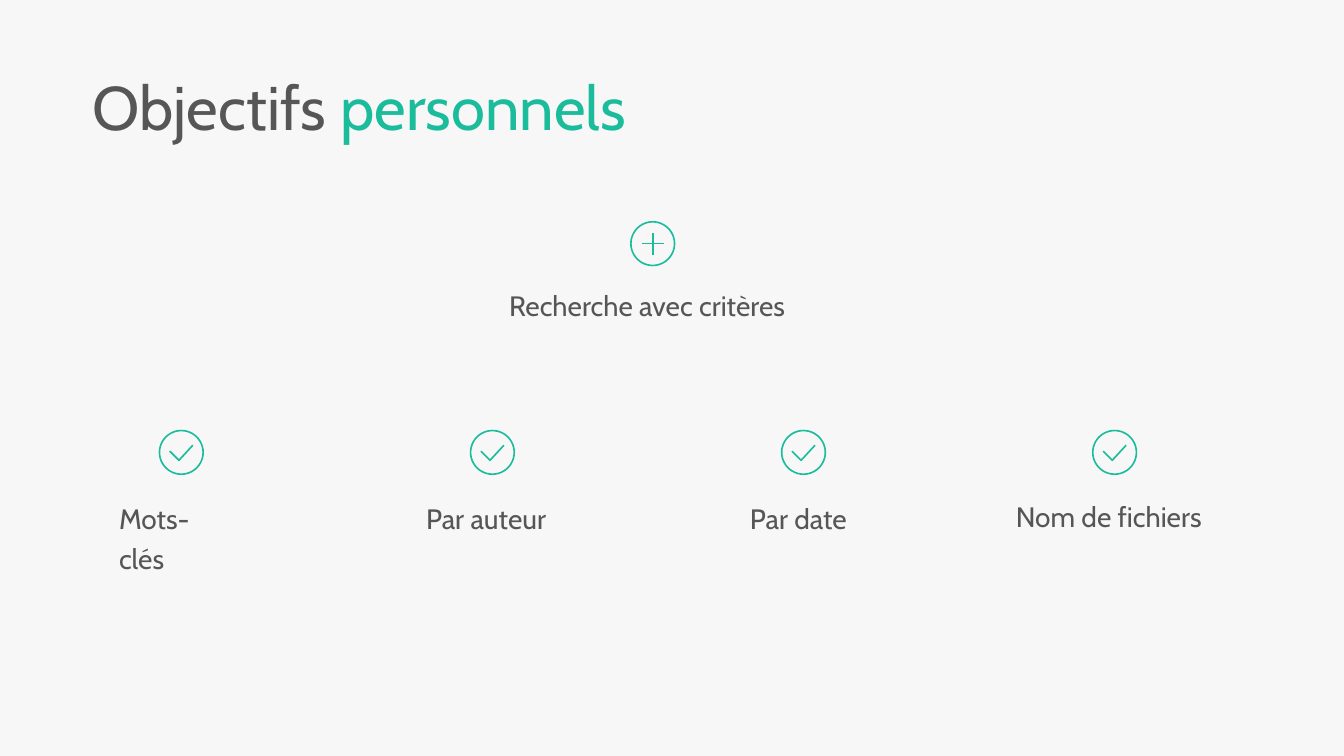
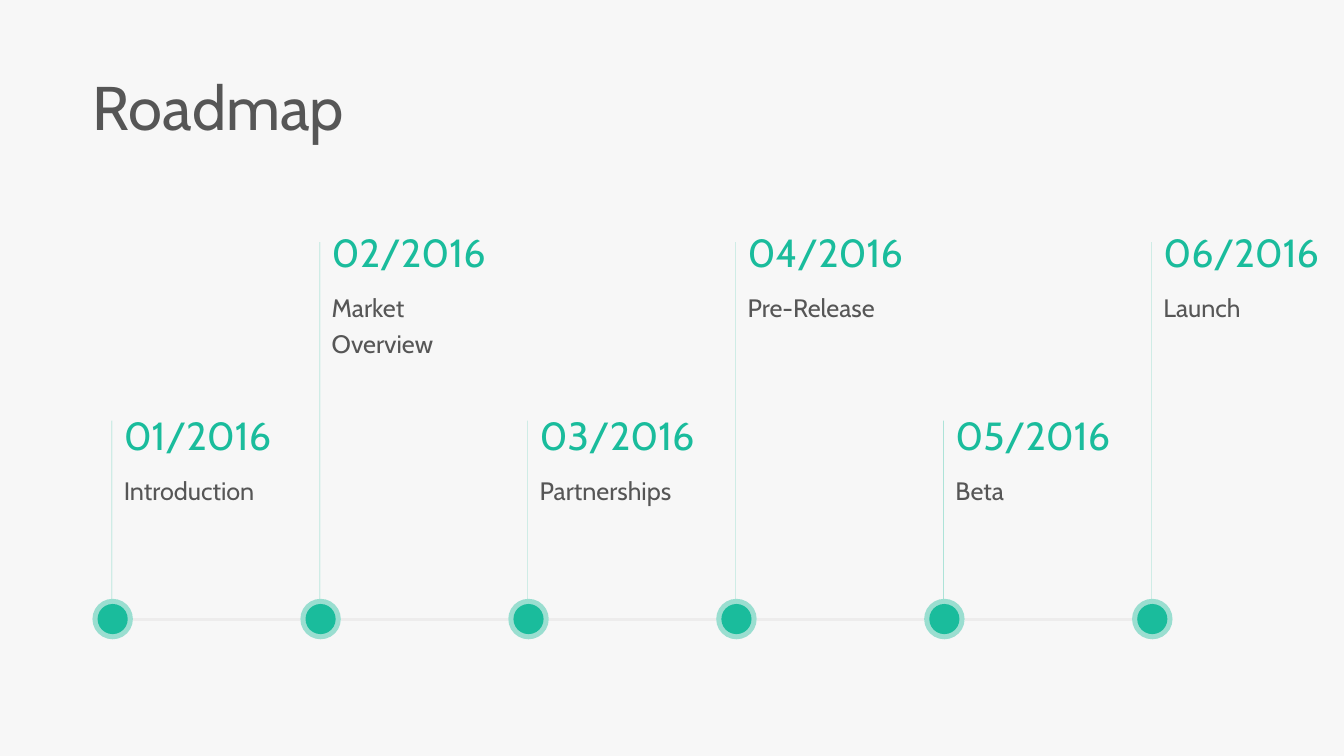
from itertools import pairwise

from lxml import etree
from pptx import Presentation
from pptx.dml.color import RGBColor
from pptx.enum.shapes import MSO_CONNECTOR, MSO_SHAPE
from pptx.oxml.ns import qn
from pptx.util import Cm, Pt

OVAL = MSO_SHAPE.OVAL
STRAIGHT = MSO_CONNECTOR.STRAIGHT
FONT = "Cabin"
GREEN = "1ABC9C"
GREY = "565656"
PALE = "EDECEC"
BACK = "F7F7F7"
INK = 1.15
SPAN = 1.1

GOALS = [
    ("Mots-clés", 3.0, 12.34, 3.12),
    ("Par auteur", 10.74, 12.34, 3.8),
    ("Par date", 18.9, 12.34, 3.2),
    ("Nom de fichiers", 25.6, 12.29, 5.5),
]
STEPS = [
    ("01/2016", "Introduction"),
    ("02/2016", "Market Overview"),
    ("03/2016", "Partnerships"),
    ("04/2016", "Pre-Release"),
    ("05/2016", "Beta"),
    ("06/2016", "Launch"),
]
LEVELS = [(10.24, 10.6), (5.64, 6.1)]
AXIS = 15.6
HALO = 0.51
CORE = 0.38


def color(code):
    return RGBColor.from_string(code)


def fade(shape, share):
    for node in shape._element.spPr.iter(qn("a:srgbClr")):
        etree.SubElement(node, qn("a:alpha"), val=str(share * 1000))


def add_text(slide, x, y, width, height, parts, size, space=1.0, left=0.0):
    box = slide.shapes.add_textbox(Cm(x), Cm(y), Cm(width), Cm(height))
    frame = box.text_frame
    frame.word_wrap = True
    frame.margin_left = Cm(left)
    para = frame.paragraphs[0]
    para.font.name = FONT
    para.font.size = Pt(size)
    para.line_spacing = space
    for words, code in parts:
        run = para.add_run()
        run.text = words
        run.font.color.rgb = color(code)


def add_title(slide, *parts):
    add_text(slide, 2.34, 1.83, 13.84, 1.96, parts, 44, 0.9)


def add_line(slide, start, end, code, weight):
    line = slide.shapes.add_connector(STRAIGHT, *map(Cm, start + end))
    line.line.color.rgb = color(code)
    line.line.width = Pt(weight)
    etree.SubElement(line._element.spPr, qn("a:effectLst"))
    return line


def add_disc(slide, x, y, radius):
    disc = slide.shapes.add_shape(
        OVAL, Cm(x - radius), Cm(y - radius), Cm(2 * radius), Cm(2 * radius)
    )
    disc.shadow.inherit = False
    disc.fill.solid()
    disc.fill.fore_color.rgb = color(GREEN)
    disc.line.fill.background()
    return disc


def outline(shape):
    shape.shadow.inherit = False
    shape.fill.background()
    shape.line.color.rgb = color(GREEN)
    shape.line.width = Pt(INK)


def add_ring(slide, x, y):
    outline(add_disc(slide, x, y, SPAN / 2))


def add_plus(slide, x, y):
    add_ring(slide, x, y)
    arm = SPAN / 4
    add_line(slide, (x - arm, y), (x + arm, y), GREEN, INK)
    add_line(slide, (x, y - arm), (x, y + arm), GREEN, INK)


def add_check(slide, x, y):
    add_ring(slide, x, y)
    pen = slide.shapes.build_freeform(Cm(x - 0.29), Cm(y - 0.03))
    bends = [(Cm(x - 0.06), Cm(y + 0.2)), (Cm(x + 0.29), Cm(y - 0.18))]
    pen.add_line_segments(bends, close=False)
    outline(pen.convert_to_shape())


def add_label(slide, words, x, y, width):
    add_text(slide, x, y, width, 1.27, [(words, GREY)], 20, 1.2)


def add_step(slide, x, date, name, top, tip):
    stem = x - 0.02
    line = add_line(slide, (stem, AXIS - HALO), (stem, tip), GREEN, 0.25)
    fade(line, 51)
    add_text(slide, stem, top, 4.7, 1.45, [(date, GREEN)], 28, left=0.3)
    add_text(slide, stem, top + 1.45, 4.7, 1.15, [(name, GREY)], 18, 1.2, 0.3)
    fade(add_disc(slide, x, AXIS, HALO), 42)
    add_disc(slide, x, AXIS, CORE)


def draw_goals(slide):
    add_title(slide, ("Objectifs ", GREY), ("personnels", GREEN))
    add_plus(slide, 16.45, 6.14)
    add_label(slide, "Recherche avec critères", 12.83, 6.98, 7.6)
    for i, goal in enumerate(GOALS):
        add_check(slide, 4.57 + 7.84 * i, 11.4)
        add_label(slide, *goal)


def draw_road(slide):
    add_title(slide, ("Roadmap", GREY))
    spots = [2.84 + 5.24 * i for i in range(len(STEPS))]
    for a, b in pairwise(spots):
        add_line(slide, (a + HALO, AXIS), (b - HALO, AXIS), PALE, 2.25)
    for i, (x, step) in enumerate(zip(spots, STEPS)):
        add_step(slide, x, *step, *LEVELS[i % 2])


def main():
    deck = Presentation()
    deck.slide_width = Cm(33.87)
    deck.slide_height = Cm(19.05)
    fill = deck.slide_master.background.fill
    fill.solid()
    fill.fore_color.rgb = color(BACK)
    for draw in (draw_goals, draw_road):
        draw(deck.slides.add_slide(deck.slide_layouts[6]))
    deck.save("out.pptx")


if __name__ == "__main__":
    main()
